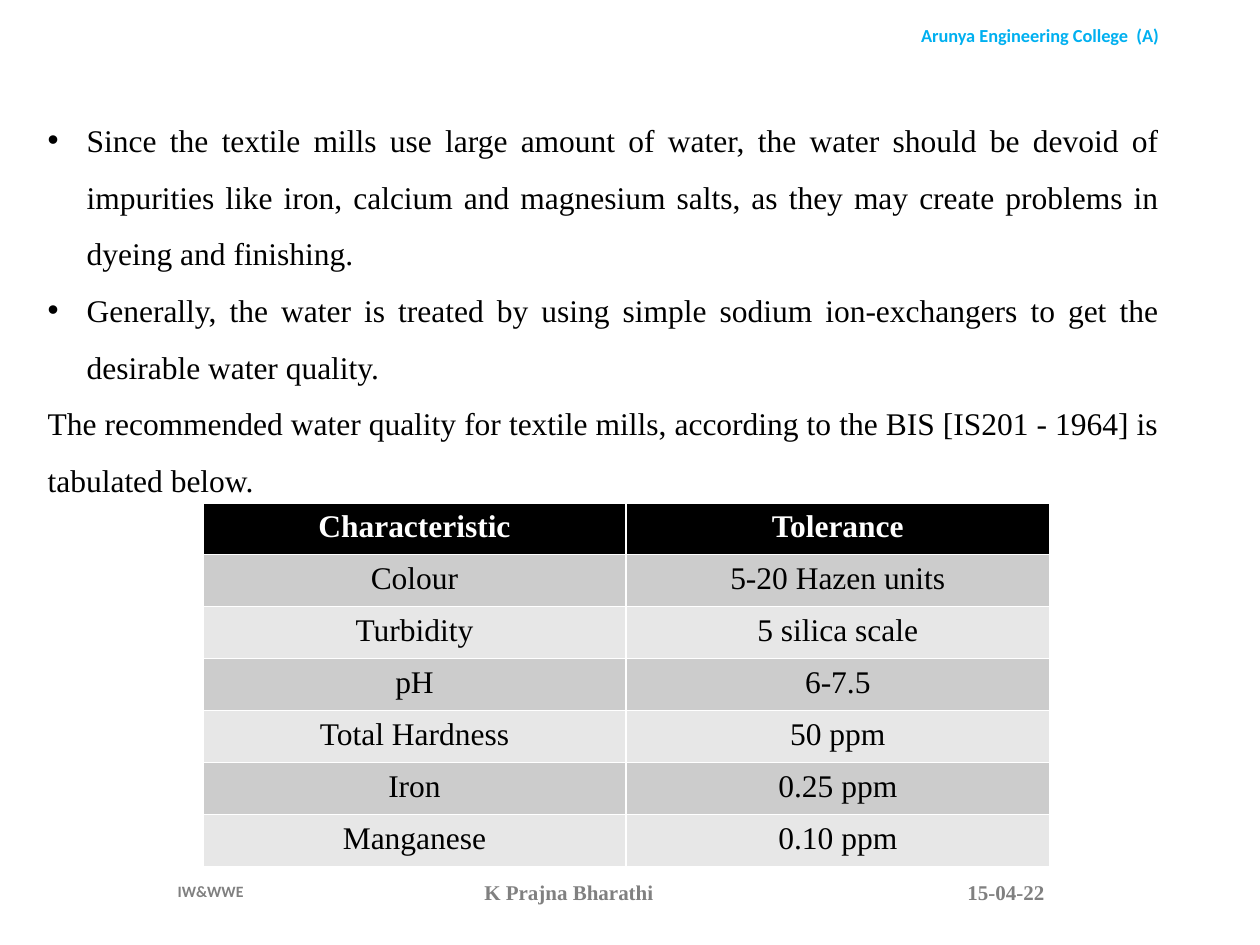
from lxml import etree
from pptx import Presentation
from pptx import util as u
from pptx.dml.color import RGBColor
from pptx.enum import text as t
from pptx.oxml import ns

BLACK = RGBColor(0x00, 0x00, 0x00)
WHITE = RGBColor(0xFF, 0xFF, 0xFF)
GREY = RGBColor(0x80, 0x80, 0x80)
SKY = RGBColor(0x00, 0xB0, 0xF0)
BANDS = (RGBColor(0xE7, 0xE7, 0xE7), RGBColor(0xCC, 0xCC, 0xCC))

SERIF, SANS = "Times New Roman", "Calibri"
COLUMNS, ROWS = 100, 75
WIDTH, HEIGHT = u.Inches(10), u.Inches(7.5)
LEFT, CENTER = t.PP_ALIGN.LEFT, t.PP_ALIGN.CENTER

BODY_FONT = {"name": SERIF, "size": u.Pt(18), "bold": False}
FOOTER_FONT = {"name": SERIF, "size": u.Pt(12), "bold": True}

BULLETS = (
    "Since the textile mills use large amount of water, the water should be "
    "devoid of impurities like iron, calcium and magnesium salts, as they may "
    "create problems in dyeing and finishing.",
    "Generally, the water is treated by using simple sodium ion-exchangers to "
    "get the desirable water quality.",
)
TABLE_LEAD = (
    "The recommended water quality for textile mills, according to the BIS "
    "[IS201 - 1964] is tabulated below."
)
TOLERANCES = (
    ("Characteristic", "Tolerance"),
    ("Colour", "5-20 Hazen units"),
    ("Turbidity", "5 silica scale"),
    ("pH", "6-7.5"),
    ("Total Hardness", "50 ppm"),
    ("Iron", "0.25 ppm"),
    ("Manganese", "0.10 ppm"),
)


def across(columns):
    return round(WIDTH * columns / COLUMNS)


def down(rows):
    return round(HEIGHT * rows / ROWS)


def area(left, top, width, height):
    return across(left), down(top), across(width), down(height)


def apply(target, values):
    for name, value in values.items():
        setattr(target, name, value)


def write(para, words, font, color, align):
    para.alignment = align
    span = para.add_run()
    span.text = words
    apply(span.font, font)
    span.font.color.rgb = color


def add_box(page, place, anchor):
    box = page.shapes.add_textbox(*area(*place))
    apply(box.text_frame, {"word_wrap": True, "vertical_anchor": anchor})
    return box.text_frame


def add_label(page, place, words, font, color, align, anchor=t.MSO_ANCHOR.MIDDLE):
    frame = add_box(page, place, anchor)
    write(frame.paragraphs[0], words, font, color, align)
    return frame


def add_bullet(para):
    props = para._p.get_or_add_pPr()
    indent = across(3.1)
    props.set("marL", str(indent))
    props.set("indent", str(-indent))
    etree.SubElement(props, ns.qn("a:buFont")).set("typeface", "Arial")
    etree.SubElement(props, ns.qn("a:buChar")).set("char", "•")


def add_body(page, place):
    frame = add_box(page, place, t.MSO_ANCHOR.TOP)
    for index, words in enumerate((*BULLETS, TABLE_LEAD)):
        para = frame.add_paragraph() if index else frame.paragraphs[0]
        write(para, words, BODY_FONT, BLACK, t.PP_ALIGN.JUSTIFY)
        para.line_spacing = 1.5
        if words in BULLETS:
            add_bullet(para)


def add_tolerances(page, place):
    grid = page.shapes.add_table(len(TOLERANCES), 2, *area(*place)).table
    for row, record in enumerate(TOLERANCES):
        header = row == 0
        for column, words in enumerate(record):
            cell = grid.cell(row, column)
            cell.fill.solid()
            cell.fill.fore_color.rgb = BLACK if header else BANDS[row % 2]
            write(cell.text_frame.paragraphs[0], words,
                  BODY_FONT | {"bold": header}, WHITE if header else BLACK, CENTER)


def main():
    deck = Presentation()
    apply(deck, {"slide_width": WIDTH, "slide_height": HEIGHT})
    page = deck.slides.add_slide(deck.slide_layouts[6])

    course = add_label(page, (6.1, 68.7, 23.1, 4), "IW&WWE",
                       {"name": SANS, "size": u.Pt(9), "bold": True}, GREY, LEFT)
    course.margin_left = across(8)
    add_label(page, (68.2, 1.4, 28.7, 2.8), "Arunya Engineering College  (A)",
              {"name": SANS, "size": u.Pt(10.5), "bold": True}, SKY, CENTER,
              t.MSO_ANCHOR.TOP)
    add_label(page, (75.8, 68.8, 17.3, 4), "15-04-22", FOOTER_FONT, GREY, LEFT)
    add_label(page, (33.9, 68.8, 22.5, 4), "K Prajna Bharathi", FOOTER_FONT, GREY, CENTER)
    add_body(page, (2.8, 7.6, 90.2, 32.5))
    add_tolerances(page, (16.1, 39.9, 67.2, 28.9))

    deck.save("out.pptx")


if __name__ == "__main__":
    main()
